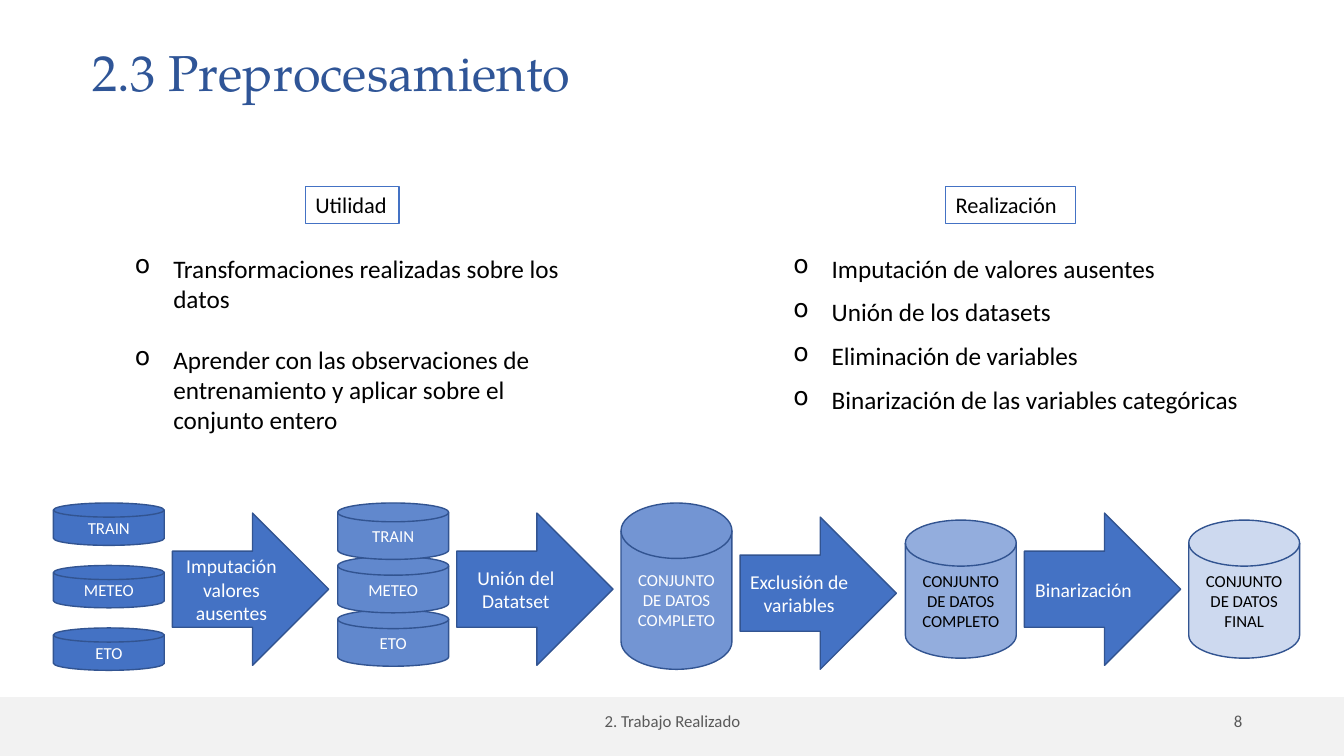
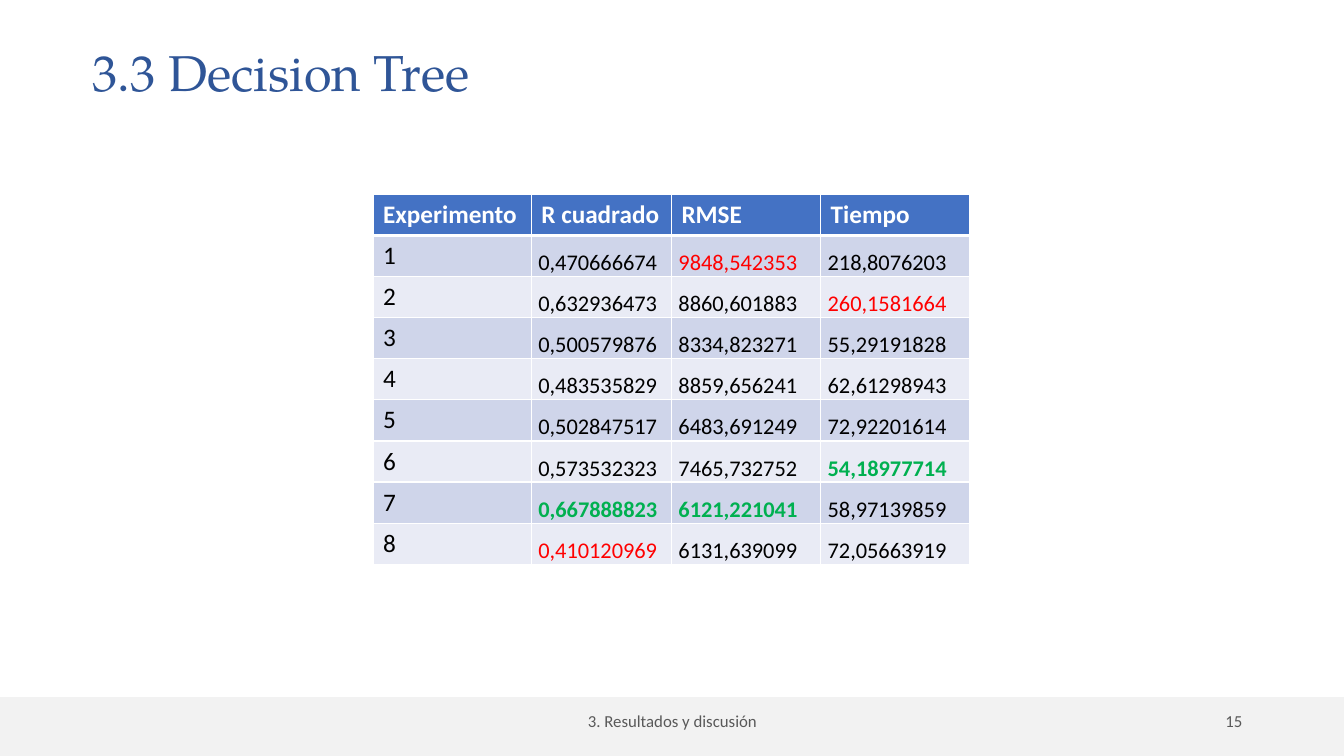
from lxml import etree
from pptx import Presentation
from pptx import util as u
from pptx.dml.color import RGBColor
from pptx.enum import shapes, text
from pptx.oxml.ns import qn

PX = 9144
WIDTH, HEIGHT = 1333, 750
BODY, HEADING = "Calibri", "TeX Gyre Pagella"
COLORS = {
    "white": "FFFFFF", "black": "000000", "title": "2F5597", "blue": "4472C4",
    "outline": "325491", "band": "F2F2F2", "footer": "595959",
    "clean": "6188CD", "joined": "7395D3", "reduced": "93ADDD", "final": "CDD9EF",
    "odd": "CFD5EA", "even": "E9EBF5", "worst": "FF0000", "best": "00B050",
}
LEFT, CENTER = text.PP_ALIGN.LEFT, text.PP_ALIGN.CENTER
RIGHT, JUSTIFY = text.PP_ALIGN.RIGHT, text.PP_ALIGN.JUSTIFY
TOP, MIDDLE, BOTTOM = (text.MSO_ANCHOR.TOP, text.MSO_ANCHOR.MIDDLE,
                       text.MSO_ANCHOR.BOTTOM)
RECT = shapes.MSO_SHAPE.RECTANGLE
DISK = shapes.MSO_SHAPE.FLOWCHART_MAGNETIC_DISK
ARROW = shapes.MSO_SHAPE.RIGHT_ARROW


def px(n):
    return u.Emu(n * PX)


def rgb(name):
    return RGBColor.from_string(COLORS[name])


def number(value):
    return float(value.replace(",", "."))


class Deck:
    def __init__(self):
        self.prs = Presentation()
        self.prs.slide_width, self.prs.slide_height = px(WIDTH), px(HEIGHT)
        self.slide = None

    def new_slide(self, title, section, page, title_width=1122):
        self.slide = self.prs.slides.add_slide(self.prs.slide_layouts[5])
        sp = self.slide.shapes.title
        sp.left, sp.top, sp.width, sp.height = map(px, (82, 37, title_width, 70))
        self.set_text(sp.text_frame, title, 36, "title", LEFT, BOTTOM, HEADING)
        sp.text_frame.paragraphs[0].line_spacing = 0.9
        self.shape(RECT, 0, 692, WIDTH, 58, "band", "band")
        self.textbox(442, 695, 450, 40, section, 12, "footer", CENTER, MIDDLE)
        self.textbox(942, 695, 300, 40, page, 12, "footer", RIGHT, MIDDLE)

    def set_text(self, tf, content, size, color, align=LEFT, anchor=TOP, font=BODY):
        tf.text = content
        tf.word_wrap = True
        tf.auto_size = text.MSO_AUTO_SIZE.NONE
        tf.vertical_anchor = anchor
        for p in tf.paragraphs:
            self.style(p, size, color, align, font=font)

    def style(self, p, size, color, align=LEFT, bold=False, font=BODY):
        p.alignment = align
        for r in p.runs:
            r.font.name, r.font.size, r.font.bold = font, u.Pt(size), bold
            r.font.color.rgb = rgb(color)

    def textbox(self, x, y, w, h, content, size, color, align=LEFT, anchor=TOP):
        sp = self.slide.shapes.add_textbox(*map(px, (x, y, w, h)))
        self.set_text(sp.text_frame, content, size, color, align, anchor)
        return sp

    def shape(self, kind, x, y, w, h, fill, line):
        sp = self.slide.shapes.add_shape(kind, *map(px, (x, y, w, h)))
        sp.shadow.inherit = False
        sp.fill.solid()
        sp.fill.fore_color.rgb = rgb(fill)
        sp.line.color.rgb = rgb(line)
        sp.line.width = u.Pt(1)
        return sp

    def label(self, x, y, w, content):
        sp = self.shape(RECT, x, y, w, 37, "white", "blue")
        self.set_text(sp.text_frame, content, 16, "black")

    def disk(self, x, y, h, content, fill, color):
        sp = self.shape(DISK, x, y, 110, h, fill, "outline")
        self.set_text(sp.text_frame, content, 12, color, CENTER, MIDDLE)

    def arrow(self, x, y, content):
        sp = self.shape(ARROW, x, y, 155, 151, "blue", "outline")
        self.set_text(sp.text_frame, content, 14, "white", CENTER, MIDDLE)

    def bullets(self, x, y, w, h, items, gap):
        sp = self.textbox(x, y, w, h, "\n".join(items), 18, "black")
        for i, p in enumerate(sp.text_frame.paragraphs):
            pPr = p._p.get_or_add_pPr()
            pPr.set("marL", str(px(38)))
            pPr.set("indent", str(-px(38)))
            etree.SubElement(pPr, qn("a:buChar")).set("char", "o")
            if i:
                p.space_before = u.Pt(gap)

    def borders(self, cell, row):
        tcPr = cell._tc.get_or_add_tcPr()
        widths = {"L": 1, "R": 1, "T": 3 if row == 1 else 1, "B": 1 if row else 3}
        for side, width in widths.items():
            ln = etree.SubElement(tcPr, qn(f"a:ln{side}"), w=str(u.Pt(width)))
            fill = etree.SubElement(ln, qn("a:solidFill"))
            etree.SubElement(fill, qn("a:srgbClr"), val=COLORS["white"])

    def cell(self, cell, row, content, size, color, fill, bold=False, align=LEFT):
        self.borders(cell, row)
        cell.fill.solid()
        cell.fill.fore_color.rgb = rgb(fill)
        cell.text_frame.text = content
        self.style(cell.text_frame.paragraphs[0], size, color, align, bold)

    def results_table(self, x, y, h, widths, header, rows, best_rules):
        frame = self.slide.shapes.add_table(
            len(rows) + 1, len(header), *map(px, (x, y, sum(widths), h)))
        table = frame.table
        for column, width in zip(table.columns, widths):
            column.width = px(width)
        for c, name in enumerate(header):
            self.cell(table.cell(0, c), 0, name, 18, "white", "blue", True)
        columns = list(zip(*rows))
        best = [rule(col, key=number) for rule, col in zip(best_rules, columns)]
        worst = [(min if rule is max else max)(col, key=number)
                 for rule, col in zip(best_rules, columns)]
        for n, values in enumerate(rows, 1):
            fill = "odd" if n % 2 else "even"
            self.cell(table.cell(n, 0), n, str(n), 18, "black", fill)
            for c, value in enumerate(values):
                is_best = value == best[c]
                color = ("best" if is_best else
                         "worst" if value == worst[c] else "black")
                cell = table.cell(n, c + 1)
                self.cell(cell, n, value, 16, color, fill, is_best, JUSTIFY)
                cell.margin_left = cell.margin_right = px(7)
                cell.margin_top = cell.margin_bottom = 0
                cell.text_frame.paragraphs[0].line_spacing = 1.5


def preprocessing(deck):
    deck.new_slide("2.3 Preprocesamiento", "2. Trabajo Realizado", "8", 636)
    deck.label(303, 185, 93, "Utilidad")
    deck.label(938, 185, 129, "Realización")
    deck.bullets(124, 246, 451, 192, [
        "Transformaciones realizadas sobre los datos",
        "Aprender con las observaciones de entrenamiento y aplicar sobre el "
        "conjunto entero"], 22)
    deck.bullets(777, 246, 465, 172, [
        "Imputación de valores ausentes", "Unión de los datasets",
        "Eliminación de variables", "Binarización de las variables categóricas"], 9.7)

    sources = ["TRAIN", "METEO", "ETO"]
    complete = ["CONJUNTO DE DATOS COMPLETO"]
    stages = [
        (sources, 499, 42, 62, "blue", "white"),
        (sources, 499, 56, 53, "clean", "white"),
        (complete, 499, 165, 0, "joined", "white"),
        (complete, 516, 137, 0, "reduced", "black"),
        (["CONJUNTO DE DATOS FINAL"], 516, 137, 0, "final", "black"),
    ]
    steps = [("Imputación valores ausentes", 509), ("Unión del Datatset", 509),
             ("Exclusión de variables", 513), ("Binarización", 509)]
    stage_x = [53 + (563 * i + 1) // 2 for i in range(len(stages))]
    for x, (names, top, height, pitch, fill, color) in zip(stage_x, stages):
        for i, name in reversed(list(enumerate(names))):
            deck.disk(x, top + i * pitch, height, name, fill, color)
    for x, (name, top) in zip(stage_x, steps):
        deck.arrow(x + 118, top, name)


def decision_tree(deck):
    deck.new_slide("3.3 Decision Tree", "3. Resultados y discusión", "15")
    rows = [
        ("0,470666674", "9848,542353", "218,8076203"),
        ("0,632936473", "8860,601883", "260,1581664"),
        ("0,500579876", "8334,823271", "55,29191828"),
        ("0,483535829", "8859,656241", "62,61298943"),
        ("0,502847517", "6483,691249", "72,92201614"),
        ("0,573532323", "7465,732752", "54,18977714"),
        ("0,667888823", "6121,221041", "58,97139859"),
        ("0,410120969", "6131,639099", "72,05663919"),
    ]
    deck.results_table(370, 193, 365, [157, 139, 148, 148],
                       ["Experimento", "R cuadrado", "RMSE", "Tiempo"],
                       rows, [max, min, min])


def main():
    deck = Deck()
    preprocessing(deck)
    decision_tree(deck)
    deck.prs.save("out.pptx")


if __name__ == "__main__":
    main()
